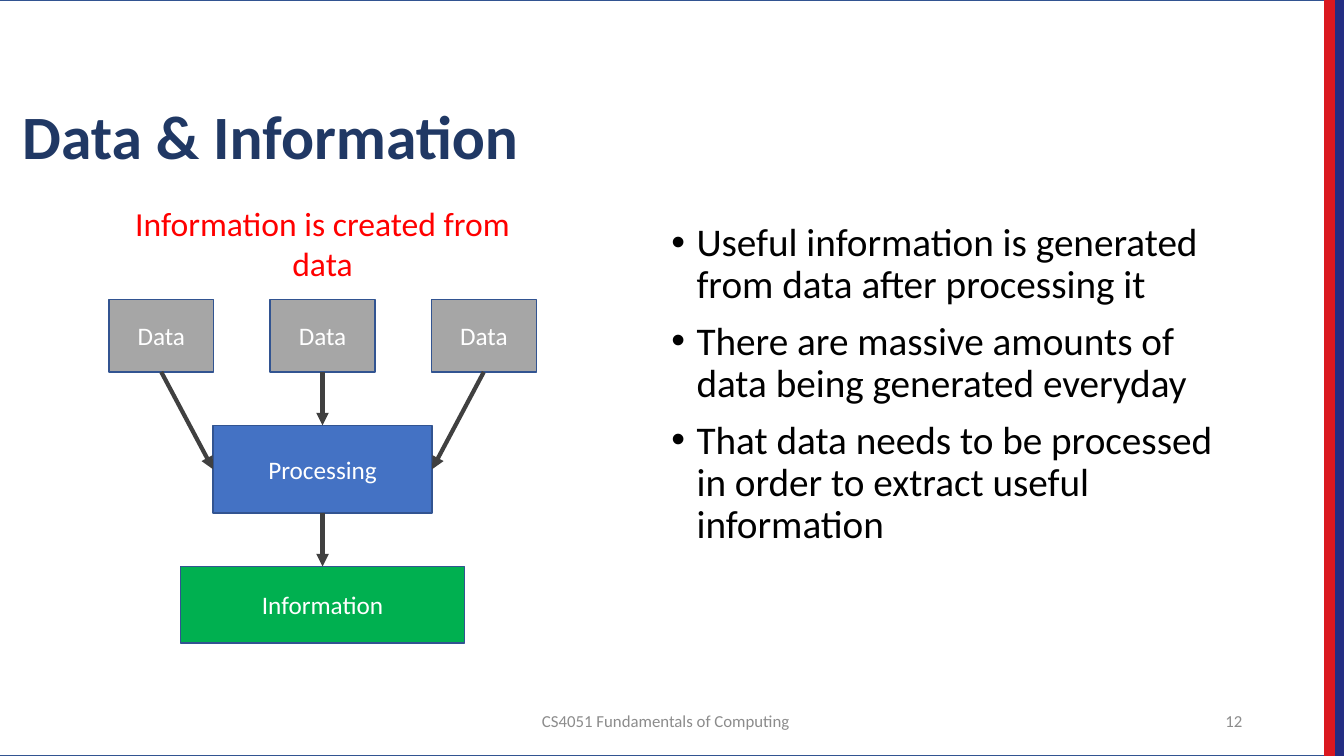
import pptx
import pptx.dml.color
import pptx.enum.shapes
import pptx.enum.text
import pptx.oxml.ns
import pptx.util
from lxml import etree

ALIGN = pptx.enum.text.PP_ALIGN
ANCHOR = pptx.enum.text.MSO_ANCHOR
SHAPES = pptx.enum.shapes
TOP, LEFT, BOTTOM, RIGHT = range(4)
OUTLINE, ARROW, MUTED = "325491", "404040", "8C8C8C"


def color(value):
    return pptx.dml.color.RGBColor.from_string(value)


def add_xml(parent, tag, **attributes):
    return etree.SubElement(parent, pptx.oxml.ns.qn(tag), attributes)


def write(shape, *texts, size=18, fill="FFFFFF", bold=False, align=ALIGN.LEFT,
          anchor=ANCHOR.TOP, spacing=None, before=0, bullet=None):
    frame = shape.text_frame
    frame.word_wrap = True
    frame.auto_size = pptx.enum.text.MSO_AUTO_SIZE.NONE
    frame.vertical_anchor = anchor
    for index, text in enumerate(texts):
        paragraph = frame.add_paragraph() if index else frame.paragraphs[0]
        if bullet:
            indent = pptx.util.Inches(0.25)
            properties = paragraph._p.get_or_add_pPr()
            properties.set("marL", str(indent))
            properties.set("indent", str(-indent))
            add_xml(properties, "a:buFont", typeface="Arial")
            add_xml(properties, "a:buChar", char=bullet)
        paragraph.alignment = align
        paragraph.line_spacing = spacing
        paragraph.space_before = pptx.util.Pt(before if index else 0)
        run = paragraph.add_run()
        run.text = text
        run.font.name = "Calibri"
        run.font.size = pptx.util.Pt(size)
        run.font.bold = bold
        run.font.color.rgb = color(fill)


class SlideBuilder:
    """Draws styled elements on one slide, in a grid of 100 columns by 100 rows."""

    def __init__(self, presentation):
        self.column = presentation.slide_width / 100
        self.row = presentation.slide_height / 100
        self.slide = presentation.slides.add_slide(presentation.slide_layouts[1])

    def area(self, left, top, width, height):
        return (round(left * self.column), round(top * self.row),
                round(width * self.column), round(height * self.row))

    def rectangle(self, left, top, width, height, fill, line):
        shape = self.slide.shapes.add_shape(
            SHAPES.MSO_SHAPE.RECTANGLE, *self.area(left, top, width, height))
        shape.shadow.inherit = False
        shape.fill.solid()
        shape.fill.fore_color.rgb = color(fill)
        shape.line.color.rgb = color(line)
        shape.line.width = pptx.util.Pt(1)
        return shape

    def box(self, label, center, top, width, height, fill):
        shape = self.rectangle(center - width / 2, top, width, height, fill, OUTLINE)
        write(shape, label, align=ALIGN.CENTER, anchor=ANCHOR.MIDDLE)
        return shape

    def arrow(self, source, source_side, target, target_side):
        connector = self.slide.shapes.add_connector(
            SHAPES.MSO_CONNECTOR.STRAIGHT, 0, 0, 0, 0)
        connector.begin_connect(source, source_side)
        connector.end_connect(target, target_side)
        connector.line.color.rgb = color(ARROW)
        connector.line.width = pptx.util.Pt(3)
        add_xml(connector.line._get_or_add_ln(), "a:tailEnd", type="triangle")
        add_xml(connector._element.spPr, "a:effectLst")

    def text(self, left, top, width, height, text, **style):
        shape = self.slide.shapes.add_textbox(*self.area(left, top, width, height))
        write(shape, text, **style)

    def placeholder(self, index, left, top, width, height, *texts, **style):
        shape = self.slide.placeholders[index]
        shape.left, shape.top, shape.width, shape.height = self.area(
            left, top, width, height)
        write(shape, *texts, spacing=0.9, **style)


def draw_diagram(builder):
    center, gap = 24, 7.07
    data_top, data_height = 39.6, 9.6
    processing_top, processing_height = data_top + data_height + gap, 11.6
    information_top = processing_top + processing_height + gap
    processing = builder.box("Processing", center, processing_top, 16.3,
                             processing_height, "4472C4")
    for offset, side in ((-12, LEFT), (0, TOP), (12, RIGHT)):
        data = builder.box("Data", center + offset, data_top, 7.8, data_height, "A6A6A6")
        builder.arrow(data, BOTTOM, processing, side)
    information = builder.box("Information", center, information_top, 21.1, 10.13, "00B050")
    builder.arrow(processing, BOTTOM, information, TOP)
    builder.text(center - 14.93, 26.13, 29.86, 12.13, "Information is created from data",
                 size=24, fill="FF0000", align=ALIGN.CENTER)


def main():
    presentation = pptx.Presentation()
    presentation.slide_width = pptx.util.Inches(13.33)
    presentation.slide_height = pptx.util.Inches(7.5)
    builder = SlideBuilder(presentation)
    stripe = 0.7
    builder.rectangle(-stripe, 0, 100 - stripe, 100, "FFFFFF", OUTLINE)
    for position, fill in enumerate(("232D82", "DA1820"), start=1):
        builder.rectangle(100 - position * stripe, 0, stripe, 100, fill, fill)
    shapes = builder.slide.shapes
    for placeholder in list(builder.slide.placeholders):
        shapes._spTree.append(placeholder._element)
    builder.placeholder(0, 0.9, 12, 94.4, 11.47, "Data & Information", size=44,
                        fill="203864", bold=True, anchor=ANCHOR.BOTTOM)
    builder.placeholder(1, 49.2, 28.8, 43.95, 53.47,
                        "Useful information is generated from data after processing it",
                        "There are massive amounts of data being generated everyday",
                        "That data needs to be processed in order to extract useful information",
                        size=28, fill="000000", before=10, bullet="•")
    footer = dict(size=12, fill=MUTED, anchor=ANCHOR.MIDDLE)
    builder.text(26.03, 92.67, 47.03, 5.33, "CS4051 Fundamentals of Computing",
                 align=ALIGN.CENTER, **footer)
    builder.text(87.55, 92.67, 5.63, 5.33, "12", align=ALIGN.RIGHT, **footer)
    draw_diagram(builder)
    presentation.save("out.pptx")


if __name__ == "__main__":
    main()
